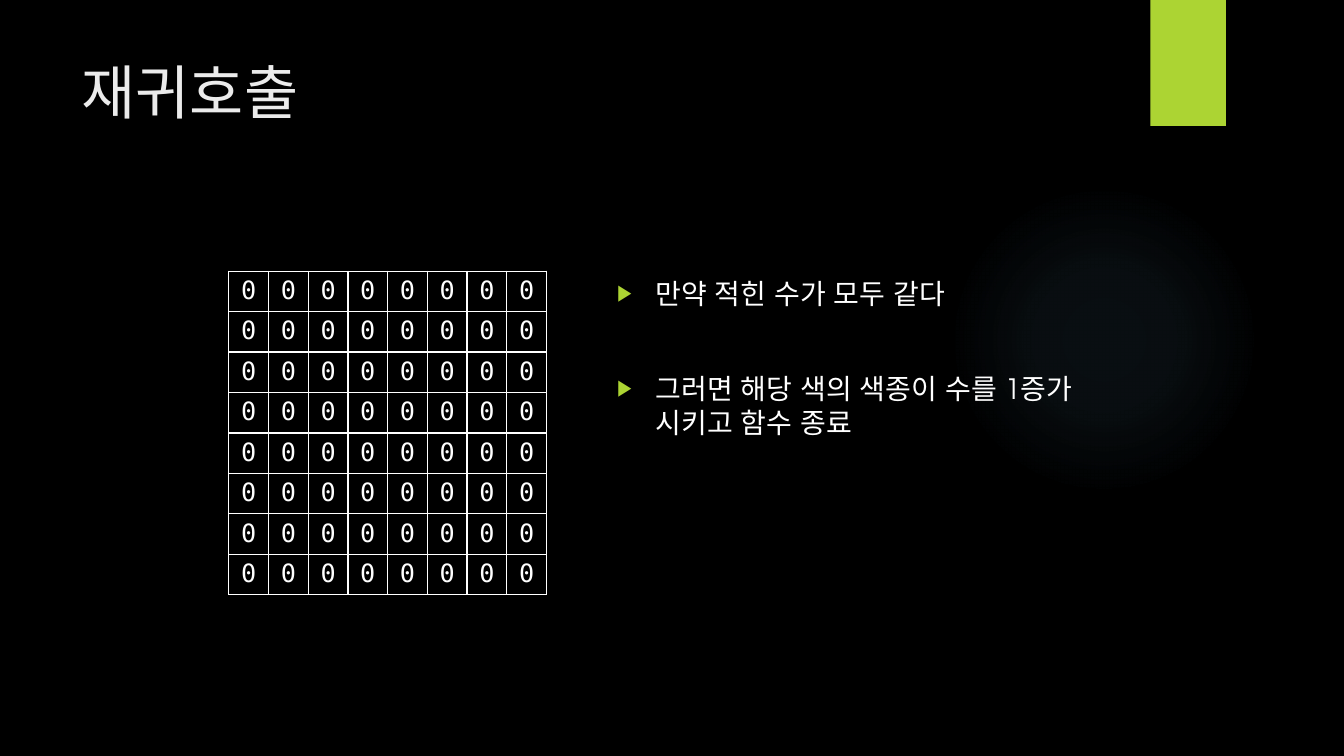
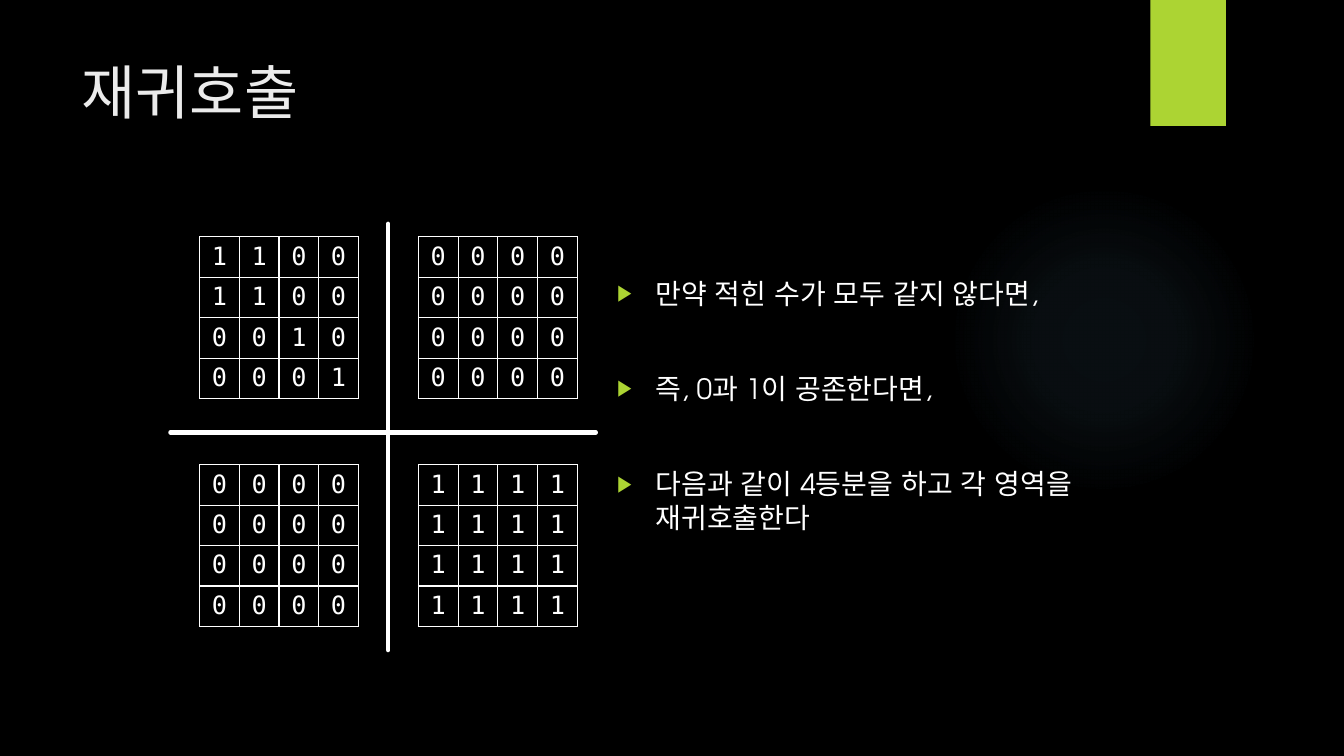
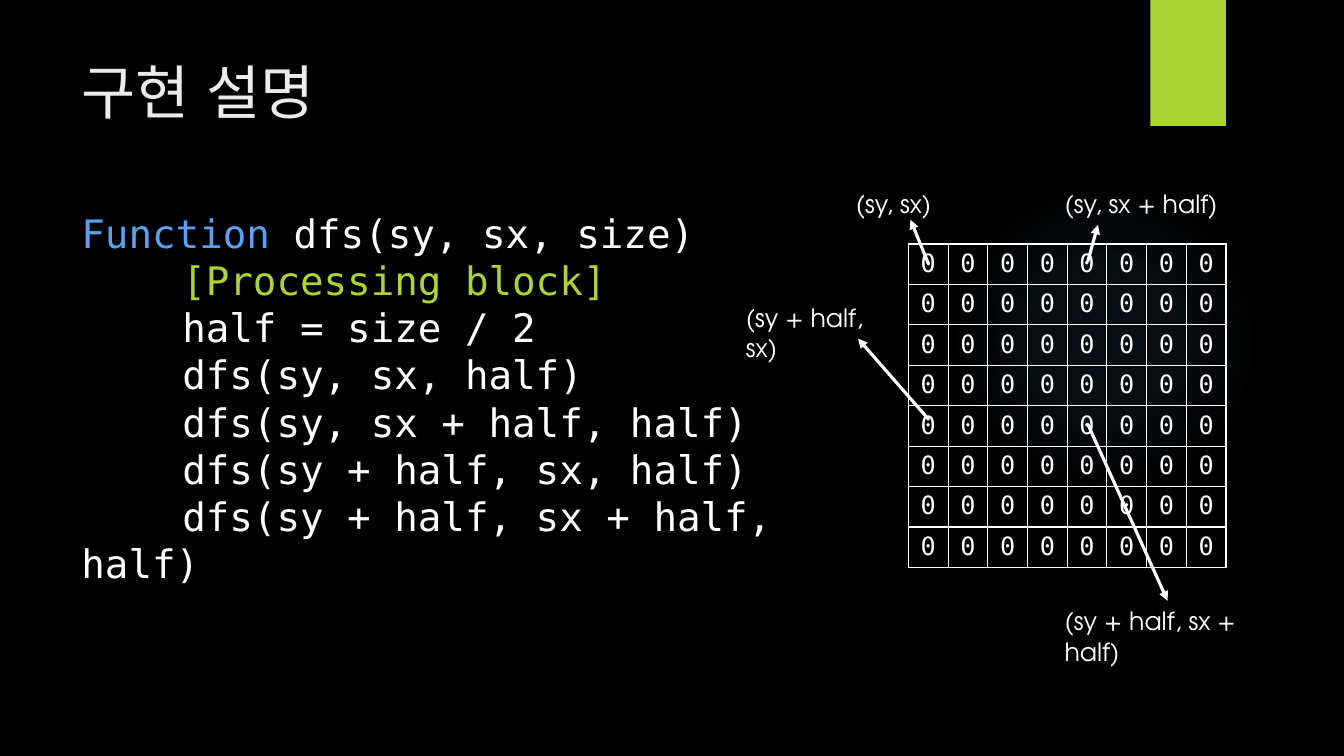
from dataclasses import dataclass

from lxml import etree
from pptx import Presentation
from pptx.dml.color import RGBColor
from pptx.enum import shapes, text
from pptx.oxml import ns
from pptx.util import Inches, Pt


@dataclass(frozen=True)
class Theme:
    background: str = "000000"
    ink: str = "FFFFFF"
    title: str = "EBEBEB"
    accent: str = "ACD433"
    keyword: str = "5AA0F5"
    glow: str = "7AC4F0"
    sans: str = "TeX Gyre Adventor"
    mono: str = "DejaVu Sans Mono"
    title_size: int = 42
    code_size: int = 28
    body_size: int = 20
    small_size: int = 18


THEME = Theme()

TITLE_BOX = (0.71, 0.5, 10.29, 1.53)
LIST_BOX = (6.02, 2.69, 5.28, 3.7)
CODE_BOX = (0.71, 2.03, 7.9, 3.4)
GLOW_BOX = (9.41, 1.83, 3.08, 3.08)
TAB_BOX = (11.41, 0, 0.75, 1.25)
GLOW_STOPS = [(0, 7), (36, 6), (69, 0)]  # position %, opacity %
CELL_WIDTH, CELL_HEIGHT = Inches(3.15) // 8, Inches(3.21) // 8

ZEROS_8 = ["0" * 8] * 8
ZEROS_4 = ["0" * 4] * 4
ONES_4 = ["1" * 4] * 4
MIXED_4 = ["1100", "1100", "0010", "0001"]

SAME_RULES = ["만약 적힌 수가 모두 같다",
              "그러면 해당 색의 색종이 수를 1증가 시키고 함수 종료"]
SPLIT_RULES = ["만약 적힌 수가 모두 같지 않다면,",
               "즉, 0과 1이 공존한다면,",
               "다음과 같이 4등분을 하고 각 영역을 재귀호출한다"]

QUADRANTS = [[MIXED_4, ZEROS_4], [ZEROS_4, ONES_4]]
QUADRANT_LEFTS, QUADRANT_TOPS = (1.98, 4.15), (2.35, 4.61)
DIVIDERS = [((1.69, 4.29), (5.91, 4.29)), ((3.85, 2.22), (3.85, 6.45))]

CODE_HEAD = [("Function ", THEME.keyword), ("dfs(sy, sx, size)", THEME.ink)]
CODE_BODY = [[("[Processing block]", THEME.accent)],
             "half = size / 2",
             "dfs(sy, sx, half)",
             "dfs(sy, sx + half, half)",
             "dfs(sy + half, sx, half)",
             "dfs(sy + half, sx + half, half)"]

# label, label box, arrow start, arrow end
CORNERS = [
    ("(sy, sx)", (8.39, 1.82, 0.98, 0.4), (9.21, 2.62), (9.03, 2.18)),
    ("(sy, sx + half)", (10.46, 1.82, 1.73, 0.4), (10.79, 2.59), (10.89, 2.23)),
    ("(sy + half, sx)", (7.3, 2.95, 1.73, 0.4), (9.21, 4.16), (8.51, 3.36)),
    ("(sy + half, sx + half)", (10.46, 5.96, 2.48, 0.4), (10.79, 4.21), (11.58, 5.96)),
]


def inches(values):
    return [Inches(value) for value in values]


def add_xml(parent, tag, **attributes):
    return etree.SubElement(parent, ns.qn(tag), {k: str(v) for k, v in attributes.items()})


def add_color(parent, color):
    return add_xml(parent, "a:srgbClr", val=color)


def write(frame, paragraphs, *, size, font=THEME.sans, color=THEME.ink,
          align=text.PP_ALIGN.LEFT, gap=0, bullet=False, indents=None):
    """Fill a text frame; a paragraph is a string or a list of (text, colour) runs."""
    frame.word_wrap = True
    frame.auto_size = text.MSO_AUTO_SIZE.NONE
    for number, content in enumerate(paragraphs):
        paragraph = frame.add_paragraph() if number else frame.paragraphs[0]
        paragraph.alignment = align
        paragraph.space_before = Pt(gap if number else 0)
        runs = [(content, color)] if isinstance(content, str) else content
        for words, run_color in runs:
            run = paragraph.add_run()
            run.text = words
            run.font.size = Pt(size)
            run.font.name = font
            run.font.color.rgb = RGBColor.from_string(run_color)
            add_xml(run.font._element, "a:ea", typeface=font)
        properties = paragraph._p.get_or_add_pPr()
        if indents:
            properties.set("indent", str(Inches(indents[number])))
        if bullet:
            properties.set("marL", str(Inches(0.38)))
            properties.set("indent", str(Inches(-0.38)))
            add_color(add_xml(properties, "a:buClr"), THEME.accent)
            add_xml(properties, "a:buSzPct", val=80000)
            add_xml(properties, "a:buChar", char="▶")


def add_text(slide, box, paragraphs, **style):
    write(slide.shapes.add_textbox(*inches(box)).text_frame, paragraphs, **style)


def add_line(slide, start, end, width, arrow=False):
    line = slide.shapes.add_connector(shapes.MSO_CONNECTOR.STRAIGHT,
                                      *inches(start), *inches(end))
    line.line.color.rgb = RGBColor.from_string(THEME.ink)
    line.line.width = Pt(width)
    outline = line.line._get_or_add_ln()
    outline.set("cap", "rnd")
    if arrow:
        add_xml(outline, "a:tailEnd", type="triangle")
    add_xml(line.element.spPr, "a:effectLst")


def add_number_grid(slide, left, top, rows):
    columns = len(rows[0])
    table = slide.shapes.add_table(len(rows), columns, Inches(left), Inches(top),
                                   CELL_WIDTH * columns, CELL_HEIGHT * len(rows)).table
    table.first_row = table.horz_banding = False
    for column in table.columns:
        column.width = CELL_WIDTH
    for row, digits in zip(table.rows, rows):
        row.height = CELL_HEIGHT
        for cell, digit in zip(row.cells, digits):
            write(cell.text_frame, [digit], size=THEME.small_size, font=THEME.mono,
                  align=text.PP_ALIGN.CENTER)
            properties = cell._tc.get_or_add_tcPr()
            for side in "LRTB":
                border = add_xml(properties, f"a:ln{side}", w=Pt(1))
                add_color(add_xml(border, "a:solidFill"), THEME.ink)
            cell.fill.background()


def add_plain_shape(slide, kind, box):
    shape = slide.shapes.add_shape(kind, *inches(box))
    shape.shadow.inherit = False
    shape.line.fill.background()
    return shape


def style_master(master, slide):
    """Set background and title place, and move the decoration onto the master."""
    master.background.fill.solid()
    master.background.fill.fore_color.rgb = RGBColor.from_string(THEME.background)
    title = next(p for p in master.placeholders
                 if p.placeholder_format.type == shapes.PP_PLACEHOLDER.TITLE)
    title.left, title.top, title.width, title.height = inches(TITLE_BOX)
    title.text_frame.vertical_anchor = text.MSO_ANCHOR.TOP

    glow = add_plain_shape(slide, shapes.MSO_SHAPE.OVAL, GLOW_BOX)
    glow.fill.background()
    gradient = etree.Element(ns.qn("a:gradFill"))
    stops = add_xml(gradient, "a:gsLst")
    for position, opacity in GLOW_STOPS:
        stop = add_color(add_xml(stops, "a:gs", pos=position * 1000), THEME.glow)
        add_xml(stop, "a:alpha", val=opacity * 1000)
    circle = add_xml(gradient, "a:path", path="circle")
    add_xml(circle, "a:fillToRect", l=50000, t=50000, r=50000, b=50000)
    properties = glow.element.spPr
    properties.replace(properties.find(ns.qn("a:noFill")), gradient)

    tab = add_plain_shape(slide, shapes.MSO_SHAPE.RECTANGLE, TAB_BOX)
    tab.fill.solid()
    tab.fill.fore_color.rgb = RGBColor.from_string(THEME.accent)

    tree = master.element.cSld.spTree
    for order, shape in enumerate((glow, tab)):
        shape.element.nvSpPr.cNvPr.set("id", str(20 + order))
        tree.insert(2 + order, shape.element)


def add_slide(deck, title, rules=None):
    layout = deck.slide_layouts.get_by_name("Title and Content" if rules else "Title Only")
    slide = deck.slides.add_slide(layout)
    write(slide.shapes.title.text_frame, [title], size=THEME.title_size, color=THEME.title)
    if rules:
        body = slide.placeholders[1]
        body.left, body.top, body.width, body.height = inches(LIST_BOX)
        write(body.text_frame, rules, size=THEME.body_size, gap=44, bullet=True)
    return slide


def main():
    deck = Presentation()
    deck.slide_width, deck.slide_height = Inches(13.33), Inches(7.5)

    same = add_slide(deck, "재귀호출", SAME_RULES)
    style_master(deck.slide_master, same)
    add_number_grid(same, 2.27, 2.69, ZEROS_8)

    split = add_slide(deck, "재귀호출", SPLIT_RULES)
    for start, end in DIVIDERS:
        add_line(split, start, end, 3)
    for top, grids in zip(QUADRANT_TOPS, QUADRANTS):
        for left, grid in zip(QUADRANT_LEFTS, grids):
            add_number_grid(split, left, top, grid)

    code = add_slide(deck, "구현 설명")
    add_text(code, CODE_BOX, [CODE_HEAD, *CODE_BODY], size=THEME.code_size,
             font=THEME.mono, indents=[0] + [1] * len(CODE_BODY))
    add_number_grid(code, 9.01, 2.42, ZEROS_8)
    for label, box, start, end in CORNERS:
        add_text(code, box, [label], size=THEME.small_size)
        add_line(code, start, end, 2.25, arrow=True)

    deck.save("out.pptx")


if __name__ == "__main__":
    main()
